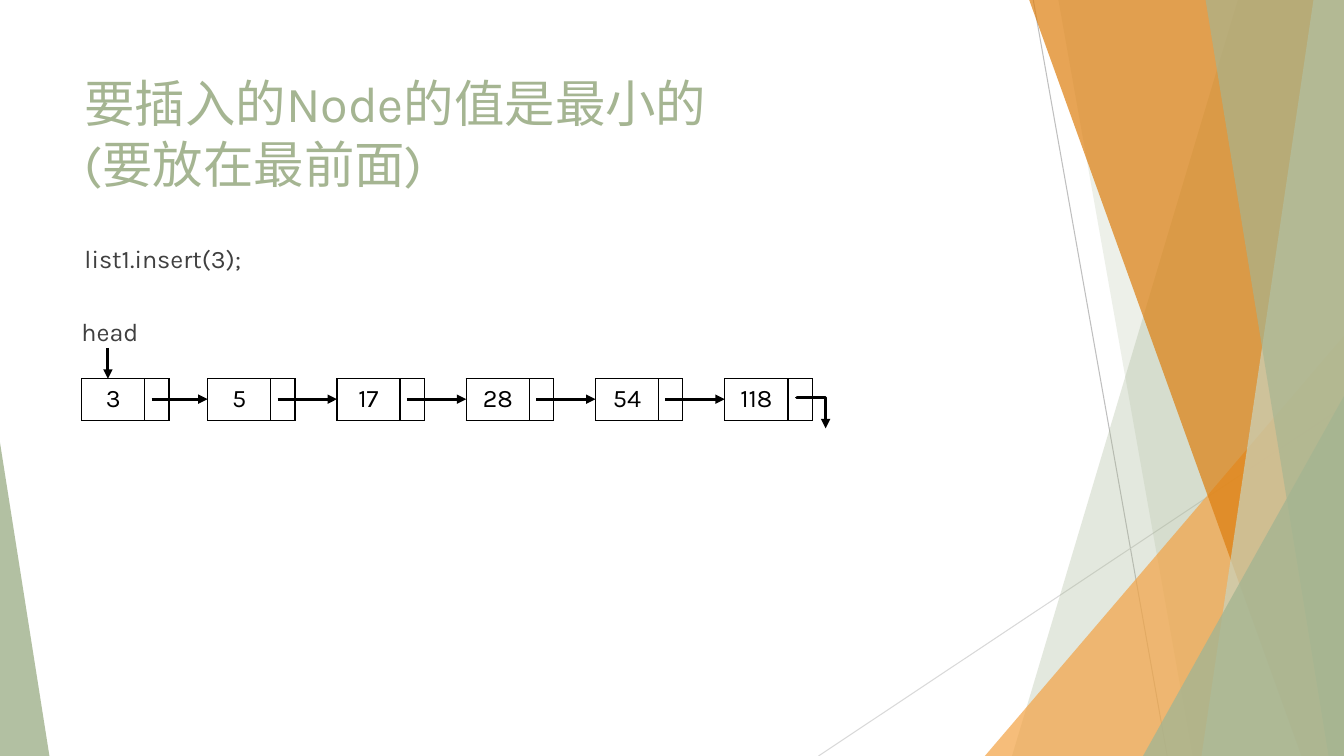
from lxml import etree
from pptx import Presentation
from pptx.dml.color import RGBColor
from pptx.enum.shapes import MSO_CONNECTOR, MSO_SHAPE
from pptx.enum.text import MSO_ANCHOR, PP_ALIGN
from pptx.oxml.ns import qn
from pptx.util import Inches, Pt

STRAIGHT, ELBOW = MSO_CONNECTOR.STRAIGHT, MSO_CONNECTOR.ELBOW
TRIANGLE = MSO_SHAPE.ISOSCELES_TRIANGLE
LEFT, CENTER = PP_ALIGN.LEFT, PP_ALIGN.CENTER
TOP, MIDDLE = MSO_ANCHOR.TOP, MSO_ANCHOR.MIDDLE
FONT = "Karla"
BLACK, DARK_GRAY, SAGE = "000000", "404040", "A5B592"


def paint(fill, color, opacity=100):
    """Give a fill one solid colour, with its opacity in percent."""
    fill.solid()
    fill.fore_color.rgb = RGBColor.from_string(color)
    if opacity < 100:
        solid_color = fill._xPr.find(qn("a:solidFill"))[0]
        etree.SubElement(solid_color, qn("a:alpha"), val=str(opacity * 1000))


def connect(kind, x1, y1, x2, y2, color=BLACK, width=2.25, arrow=True):
    """Draw a connector between two grid points and return it."""
    connector = slide.shapes.add_connector(
        kind, int(x1 * COLUMN), int(y1 * ROW), int(x2 * COLUMN), int(y2 * ROW))
    paint(connector.line.fill, color)
    connector.line.width = Pt(width)
    if arrow:
        etree.SubElement(connector.line._get_or_add_ln(), qn("a:tailEnd"), type="triangle")
    etree.SubElement(connector._element.spPr, qn("a:effectLst"))
    return connector


presentation = Presentation()
presentation.slide_width, presentation.slide_height = Inches(13.33), Inches(7.5)
slide = presentation.slides.add_slide(presentation.slide_layouts[6])

# The grid has 100 columns and 100 rows
COLUMN = presentation.slide_width / 100
ROW = presentation.slide_height / 100

# Background lines and translucent facets
connect(STRAIGHT, 76.88, 0, 86.85, 100, "BFBFBF", 0.75, arrow=False)
connect(STRAIGHT, 100, 53.73, 60.9, 100, "D9D9D9", 0.75, arrow=False)

# Bands: top x, bottom x. Triangles: left, top, width, apex share
facets = [
    ((92.1, 75.3), SAGE, 30),
    ((78.75, 88.73), SAGE, 20),
    ((73.28, 44.4, 26.72, 1), "F3A447", 72),
    ((76.58, 96.83), "DD7E0E", 70),
    ((97.73, 89.4), "C9D3BE", 70),
    ((89.7, 98.85), SAGE, 65),
    ((85.05, 52.4, 14.95, 1), SAGE, 80),
    ((0, 58.53, 3.68, 0), SAGE, 85),
]
for outline, color, opacity in facets:
    if len(outline) == 2:
        top_x, bottom_x = outline
        corners = [(100, 0), (100, 100), (bottom_x, 100)]
        builder = slide.shapes.build_freeform(int(top_x * COLUMN), 0)
        builder.add_line_segments([(int(x * COLUMN), int(y * ROW)) for x, y in corners])
        facet = builder.convert_to_shape()
    else:
        left, top, width, apex = outline
        facet = slide.shapes.add_shape(
            TRIANGLE, int(left * COLUMN), int(top * ROW),
            int(width * COLUMN), int((100 - top) * ROW))
        facet.adjustments[0] = apex
    facet.shadow.inherit = False
    paint(facet.fill, color, opacity)
    facet.line.fill.background()

# Title, call and head label
texts = [
    ("要插入的Node的值是最小的\v(要放在最前面)", 5.55, 8.93, 70.5, 19.2, 36, SAGE, LEFT),
    ("list1.insert(3);", 5.55, 31.47, 18, 6.13, 18, DARK_GRAY, LEFT),
    ("head", 5.25, 41.2, 5.85, 5.73, 18, DARK_GRAY, CENTER),
]
for text, left, top, width, height, size, color, alignment in texts:
    box = slide.shapes.add_textbox(
        int(left * COLUMN), int(top * ROW), int(width * COLUMN), int(height * ROW))
    box.text_frame.word_wrap = True
    box.text_frame.vertical_anchor = TOP
    paragraph = box.text_frame.paragraphs[0]
    paragraph.text = text
    paragraph.alignment = alignment
    paragraph.font.name, paragraph.font.size = FONT, Pt(size)
    paint(paragraph.font.fill, color)

# Linked list: each node is a value cell and a pointer cell
VALUES = ["3", "5", "17", "28", "54", "118"]
VALUE_WIDTH, POINTER_WIDTH, NODE_HEIGHT = 4.7, 1.7, 5.47
NODE_TOP, ARROW_Y, ARROW_START = 50.1, 52.8, 5.2
node_lefts = [6.08] + [15.45 + 9.62 * step for step in range(len(VALUES) - 1)]

for value, left in zip(VALUES, node_lefts):
    frame = slide.shapes.add_table(
        1, 2, int(left * COLUMN), int(NODE_TOP * ROW),
        int((VALUE_WIDTH + POINTER_WIDTH) * COLUMN), int(NODE_HEIGHT * ROW))
    node = frame.table
    node.first_row = node.horz_banding = False
    for index, (text, width) in enumerate([(value, VALUE_WIDTH), ("", POINTER_WIDTH)]):
        node.columns[index].width = int(width * COLUMN)
        cell = node.cell(0, index)
        cell.vertical_anchor = MIDDLE
        paragraph = cell.text_frame.paragraphs[0]
        paragraph.text = text
        paragraph.alignment = CENTER
        paragraph.font.name, paragraph.font.size = FONT, Pt(18)
        paint(paragraph.font.fill, BLACK)
        properties = cell._tc.get_or_add_tcPr()
        for side in ("a:lnL", "a:lnR", "a:lnT", "a:lnB"):
            border = etree.SubElement(properties, qn(side), w=str(Pt(1)))
            border_fill = etree.SubElement(border, qn("a:solidFill"))
            etree.SubElement(border_fill, qn("a:srgbClr"), val=BLACK)
        cell.fill.background()

for left, next_left in zip(node_lefts, node_lefts[1:]):
    connect(STRAIGHT, left + ARROW_START, ARROW_Y, next_left, ARROW_Y)
connect(STRAIGHT, 8.03, 46, 8.03, NODE_TOP)

# The last pointer runs right, then turns down
end_arrow = connect(ELBOW, 61.5, 52.67, 59.18, 56.53)
end_arrow._element.spPr.find(qn("a:xfrm")).set("rot", str(270 * 60000))
guides = end_arrow._element.spPr.find(qn("a:prstGeom")).find(qn("a:avLst"))
etree.SubElement(guides, qn("a:gd"), name="adj1", fmla="val 300")

presentation.save("out.pptx")
